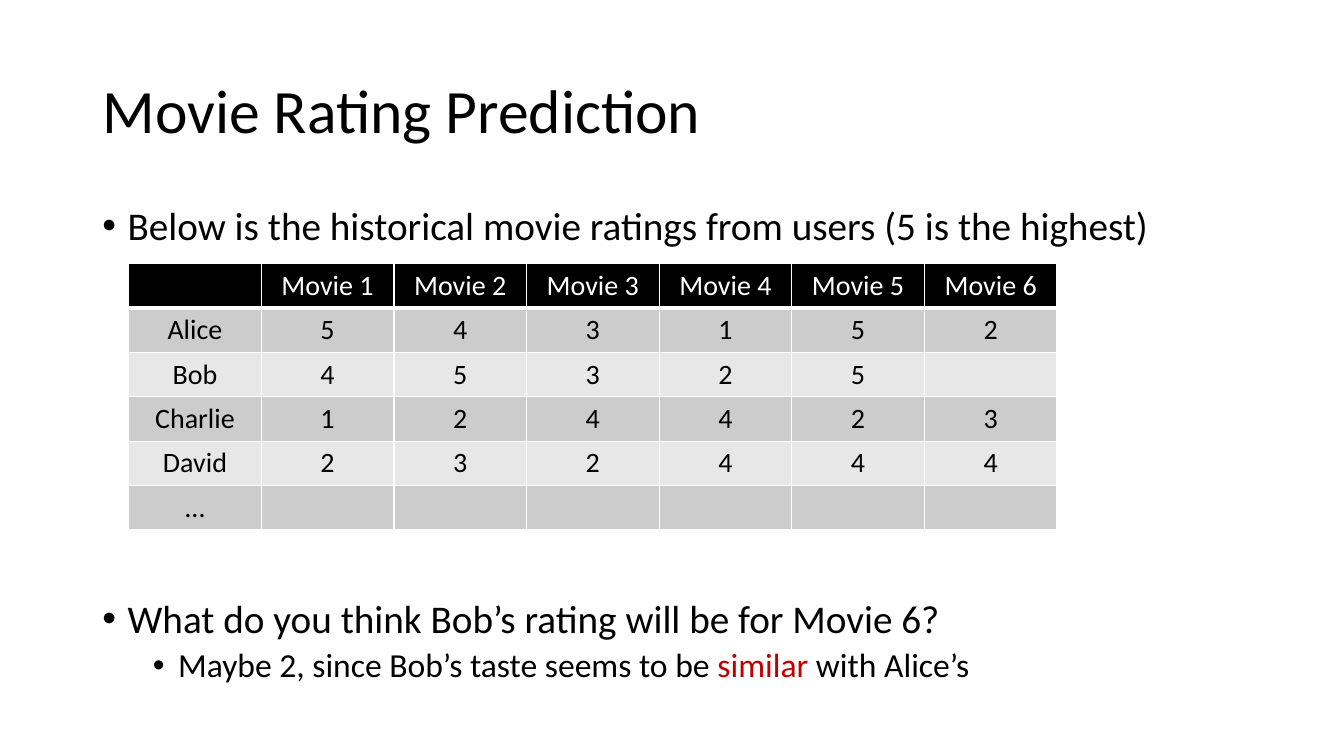
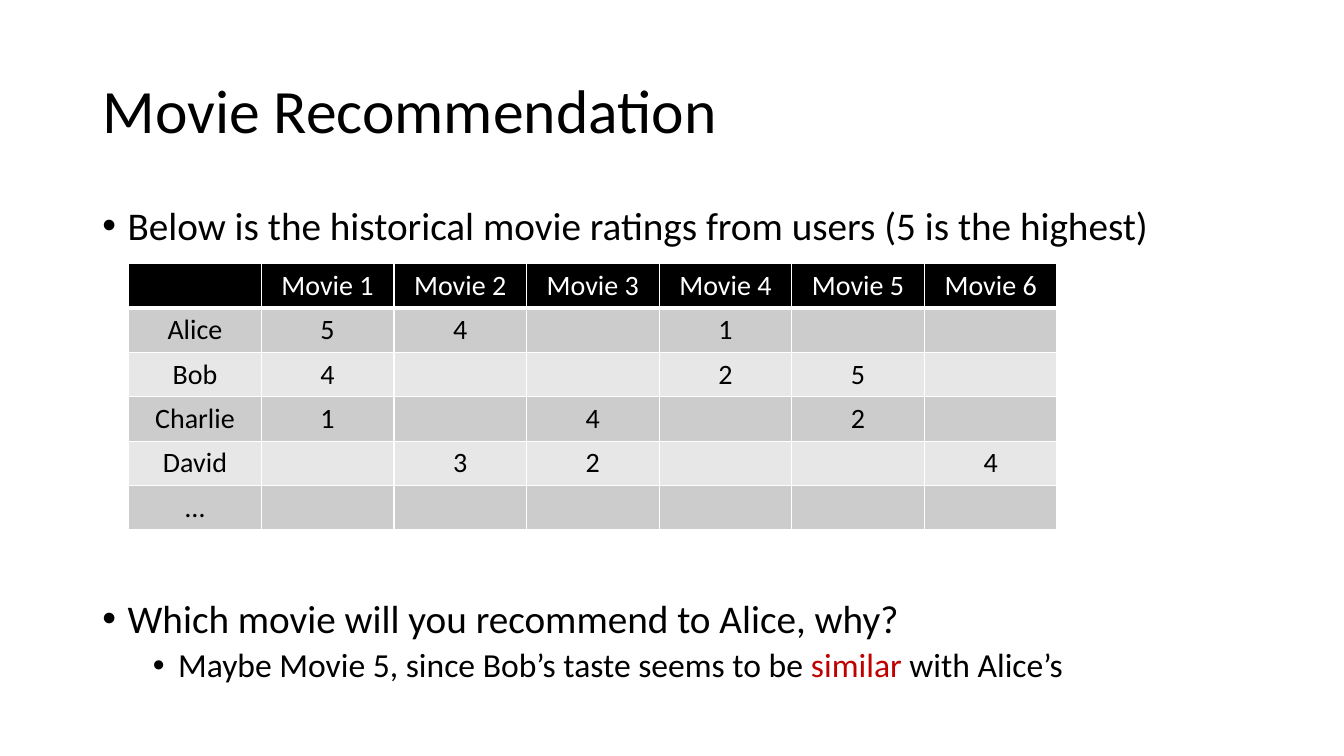
import pptx
import pptx.util
import pptx.dml.color
import pptx.enum.text
import pptx.oxml.ns
import lxml.etree

Pt = pptx.util.Pt
FONT = "Calibri"
COLORS = {
    "text": "000000",
    "accent": "C00000",
    "header": "000000",
    "line": "FFFFFF",
    "band": ["CCCCCC", "E7E7E7"],
}
TITLE_BOX = (66, 28.75, 828, 104.4)
BODY_BOX = (66, 143.75, 828, 396)
TABLE_OFFSET = (25.9, 44.45)
COLUMN_WIDTH, ROW_HEIGHT = 94.75, 31.65
TABLE_GAP = 250.5

INTRO = "Below is the historical movie ratings from users (5 is the highest)"
HEADINGS = [""] + [f"Movie {number}" for number in range(1, 7)]
USERS = ["Alice", "Bob", "Charlie", "David", "…"]
SLIDES = [
    {
        "title": "Movie Rating Prediction",
        "ratings": ["543152", "45325 ", "124423", "232444", "      "],
        "question": "What do you think Bob’s rating will be for Movie 6?",
        "answer": "Maybe 2, since Bob’s taste seems to be ",
    },
    {
        "title": "Movie Recommendation",
        "ratings": ["54 1  ", "4  25 ", "1 4 2 ", " 32  4", "      "],
        "question": "Which movie will you recommend to Alice, why?",
        "answer": "Maybe Movie 5, since Bob’s taste seems to be ",
    },
]


def color(value):
    return pptx.dml.color.RGBColor.from_string(value)


def add_text(para, text, size, fill=COLORS["text"]):
    span = para.add_run()
    span.text = text
    span.font.name = FONT
    span.font.size = Pt(size)
    span.font.bold = False
    span.font.color.rgb = color(fill)


def place(shape, box):
    shape.left, shape.top, shape.width, shape.height = map(Pt, box)


def add_child(parent, tag, **attributes):
    values = {name: str(value) for name, value in attributes.items()}
    return lxml.etree.SubElement(parent, pptx.oxml.ns.qn(tag), values)


def format_bullet(para, level, space_before):
    properties = para._p.get_or_add_pPr()
    properties.set("marL", str(Pt(18 + 36 * level)))
    properties.set("indent", str(Pt(-18)))
    add_child(properties, "a:buChar", char="•")
    para.level = level
    para.line_spacing = 0.9
    para.space_before = Pt(space_before)


def fill_title(shape, box, text):
    place(shape, box)
    shape.text_frame.vertical_anchor = pptx.enum.text.MSO_ANCHOR.MIDDLE
    shape.text_frame.auto_size = pptx.enum.text.MSO_AUTO_SIZE.NONE
    para = shape.text_frame.paragraphs[0]
    para.alignment = pptx.enum.text.PP_ALIGN.LEFT
    para.line_spacing = 0.9
    add_text(para, text, size=44)


def fill_body(shape, box, question, answer):
    place(shape, box)
    frame = shape.text_frame
    frame.auto_size = pptx.enum.text.MSO_AUTO_SIZE.NONE
    bullets = [
        (0, 0, 28, [(INTRO, "text")]),
        (0, TABLE_GAP, 28, [(question, "text")]),
        (1, 5, 24, [(answer, "text"), ("similar", "accent"), (" with Alice’s", "text")]),
    ]
    for index, (level, space_before, size, spans) in enumerate(bullets):
        para = frame.add_paragraph() if index else frame.paragraphs[0]
        format_bullet(para, level, space_before)
        for text, role in spans:
            add_text(para, text, size=size, fill=COLORS[role])


def format_cell(cell, fill, bottom_width):
    properties = cell._tc.get_or_add_tcPr()
    for side, width in (("L", 1), ("R", 1), ("T", 1), ("B", bottom_width)):
        line = add_child(properties, f"a:ln{side}", w=Pt(width))
        add_child(add_child(line, "a:solidFill"), "a:srgbClr", val=COLORS["line"])
    cell.fill.solid()
    cell.fill.fore_color.rgb = color(fill)


def add_ratings(page, box, ratings):
    rows = [HEADINGS] + [[user, *marks] for user, marks in zip(USERS, ratings)]
    left, top = box[0] + TABLE_OFFSET[0], box[1] + TABLE_OFFSET[1]
    width, height = COLUMN_WIDTH * len(HEADINGS), ROW_HEIGHT * len(rows)
    table = page.shapes.add_table(
        len(rows), len(HEADINGS), Pt(left), Pt(top), Pt(width), Pt(height)
    ).table
    for row_index, values in enumerate(rows):
        header = row_index == 0
        fill = COLORS["header"] if header else COLORS["band"][(row_index - 1) % 2]
        for column_index, value in enumerate(values):
            cell = table.cell(row_index, column_index)
            format_cell(cell, fill, bottom_width=3 if header else 1)
            para = cell.text_frame.paragraphs[0]
            para.alignment = pptx.enum.text.PP_ALIGN.CENTER
            if value.strip():
                add_text(para, value, size=20, fill=COLORS["line" if header else "text"])


def add_rating_slide(deck, title, ratings, question, answer):
    page = deck.slides.add_slide(deck.slide_layouts[1])
    fill_title(page.shapes.title, TITLE_BOX, title)
    fill_body(page.placeholders[1], BODY_BOX, question, answer)
    add_ratings(page, BODY_BOX, ratings)


def main():
    deck = pptx.Presentation()
    deck.slide_width, deck.slide_height = Pt(960), Pt(540)
    for content in SLIDES:
        add_rating_slide(deck, **content)
    deck.save("out.pptx")


if __name__ == "__main__":
    main()
